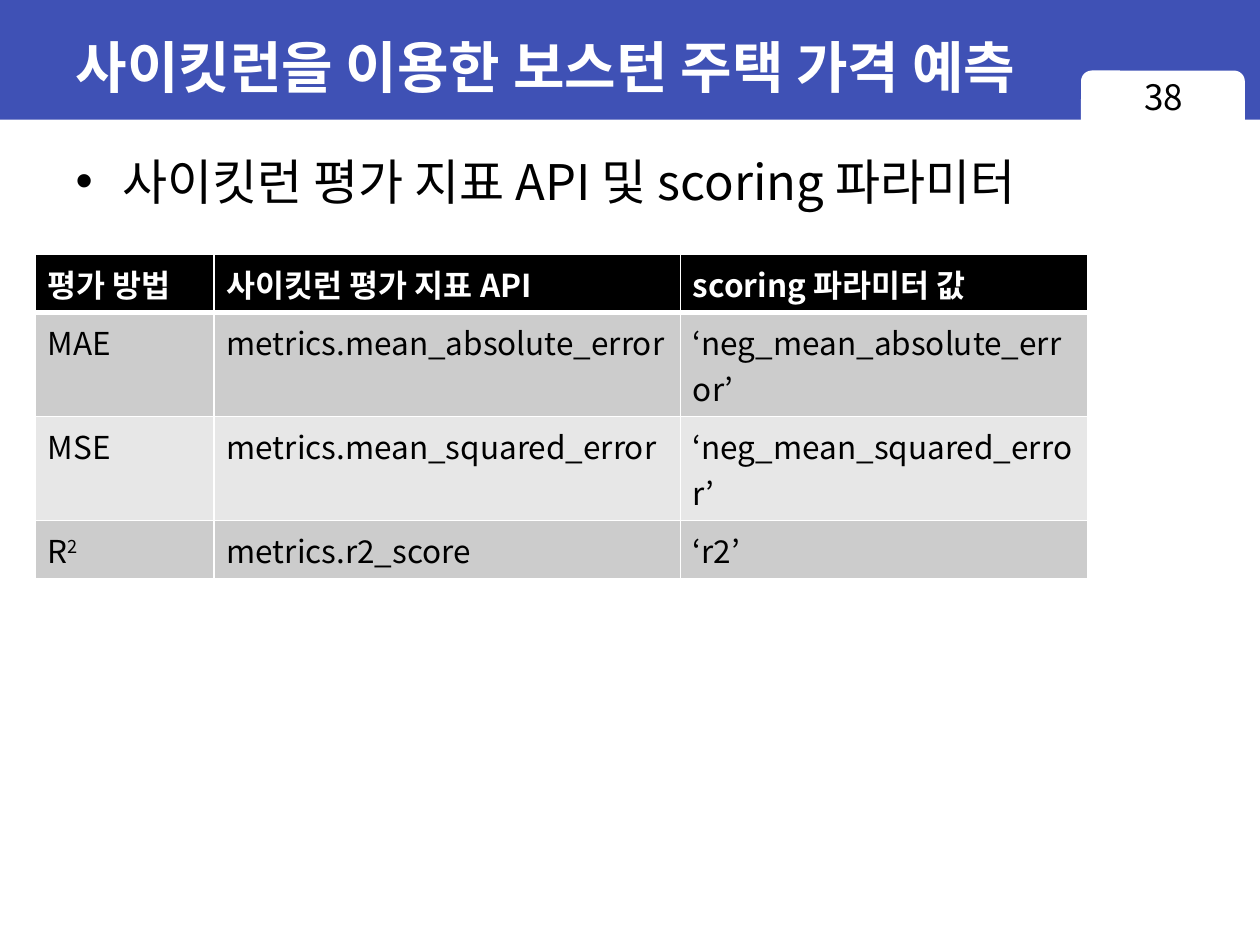
from lxml.etree import SubElement
from pptx import Presentation
from pptx.dml.color import RGBColor
from pptx.enum.shapes import MSO_SHAPE as Shape
from pptx.enum.text import MSO_ANCHOR as Anchor, MSO_AUTO_SIZE as AutoSize, PP_ALIGN as Align
from pptx.oxml.ns import qn
from pptx.util import Inches, Pt

INDIGO = RGBColor(0x3F, 0x51, 0xB5)
WHITE = RGBColor(0xFF, 0xFF, 0xFF)
BLACK = RGBColor(0x00, 0x00, 0x00)
GRAY = RGBColor(0xCC, 0xCC, 0xCC)
LIGHT = RGBColor(0xE7, 0xE7, 0xE7)
KOREAN = "Noto Sans CJK KR"

COLUMNS = [1.42, 3.7, 3.23]
ROW_HEIGHT = 0.41
METRICS = [
    ["평가 방법", "사이킷런 평가 지표 API", "scoring 파라미터 값"],
    ["MAE", "metrics.mean_absolute_error", "‘neg_mean_absolute_error’"],
    ["MSE", "metrics.mean_squared_error", "‘neg_mean_squared_error’"],
    ["R^2", "metrics.r2_score", "‘r2’"],
]


class SlideBuilder:
    """Holds the shared style and the slide being filled."""

    def __init__(self, deck):
        self.page = deck.slides.add_slide(deck.slide_layouts[1])
        self.title_box, self.body_box = self.page.placeholders

    def add_text(self, para, text, font=KOREAN, color=BLACK, **style):
        """Add text to a paragraph; whatever follows ^ is superscript."""
        for index, part in enumerate(text.split("^")):
            span = para.add_run()
            span.text = part
            span.font.color.rgb = color
            for name, value in {"name": font, **style}.items():
                setattr(span.font, name, value)
            props = span.font._element
            SubElement(props, qn("a:ea")).set("typeface", KOREAN)
            if index:
                props.set("baseline", "30000")

    def place(self, box, left, top, width, height, **frame_style):
        place = {"left": left, "top": top, "width": width, "height": height}
        for name, value in place.items():
            setattr(box, name, Inches(value))
        style = {"word_wrap": True, "auto_size": AutoSize.NONE, **frame_style}
        for name, value in style.items():
            setattr(box.text_frame, name, value)
        return box.text_frame.paragraphs[0]

    def backdrop(self, kind, color, *place):
        """Add a plain shape behind the title."""
        shape = self.page.shapes.add_shape(kind, *map(Inches, place))
        shape.shadow.inherit = False
        shape.fill.solid()
        shape.fill.fore_color.rgb = color
        shape.line.fill.background()
        self.title_box.element.addprevious(shape.element)

    def title(self, text, *place):
        para = self.place(self.title_box, *place, vertical_anchor=Anchor.MIDDLE)
        para.alignment = Align.LEFT
        self.add_text(para, text, "Arial", WHITE, size=Pt(32), bold=True)

    def bullet(self, text, *place):
        para = self.place(self.body_box, *place, vertical_anchor=Anchor.TOP)
        self.add_text(para, text, size=Pt(28))

    def page_number(self, text, *place):
        box = self.page.shapes.add_textbox(*map(Inches, place))
        para = self.place(box, *place)
        para.alignment = Align.CENTER
        self.add_text(para, text, size=Pt(20))

    def borders(self, cell, **widths):
        """Draw white cell borders; widths are in points."""
        props = cell._tc.get_or_add_tcPr()
        for index, side in enumerate("LRTB"):
            line = SubElement(props, qn(f"a:ln{side}"), w=str(Pt(widths.get(side, 1))))
            fill = SubElement(line, qn("a:solidFill"))
            SubElement(fill, qn("a:srgbClr"), val=str(WHITE))
            props.insert(index, line)

    def table(self, rows, columns, row_height, left, top):
        place = (left, top, sum(columns), row_height * len(rows))
        frame = self.page.shapes.add_table(len(rows), len(columns), *map(Inches, place))
        grid = frame.table
        for column, width in zip(grid.columns, columns):
            column.width = Inches(width)
        for r, row in enumerate(rows):
            header = r == 0
            for c, text in enumerate(row):
                cell = grid.cell(r, c)
                cell.fill.solid()
                cell.fill.fore_color.rgb = BLACK if header else (LIGHT, GRAY)[r % 2]
                self.borders(cell, T=3 if r == 1 else 1, B=3 if header else 1)
                self.add_text(cell.text_frame.paragraphs[0], text,
                              color=WHITE if header else BLACK, size=Pt(18), bold=header)


def main():
    deck = Presentation()
    deck.slide_width, deck.slide_height = Inches(10), Inches(7.5)
    slide = SlideBuilder(deck)

    # Header band with the page tab
    slide.backdrop(Shape.RECTANGLE, INDIGO, 0, 0, 10, 0.95)
    slide.backdrop(Shape.ROUNDED_RECTANGLE, WHITE, 8.58, 0.56, 1.3, 0.51)
    slide.title("사이킷런을 이용한 보스턴 주택 가격 예측", 0.5, 0.11, 9, 0.83)
    slide.page_number("38", 8.58, 0.55, 1.31, 0.52)

    # Topic and metric table
    slide.bullet("사이킷런 평가 지표 API 및 scoring 파라미터", 0.5, 1.15, 9.38, 6.14)
    slide.table(METRICS, COLUMNS, ROW_HEIGHT, 0.28, 2.02)

    deck.save("out.pptx")


if __name__ == "__main__":
    main()
